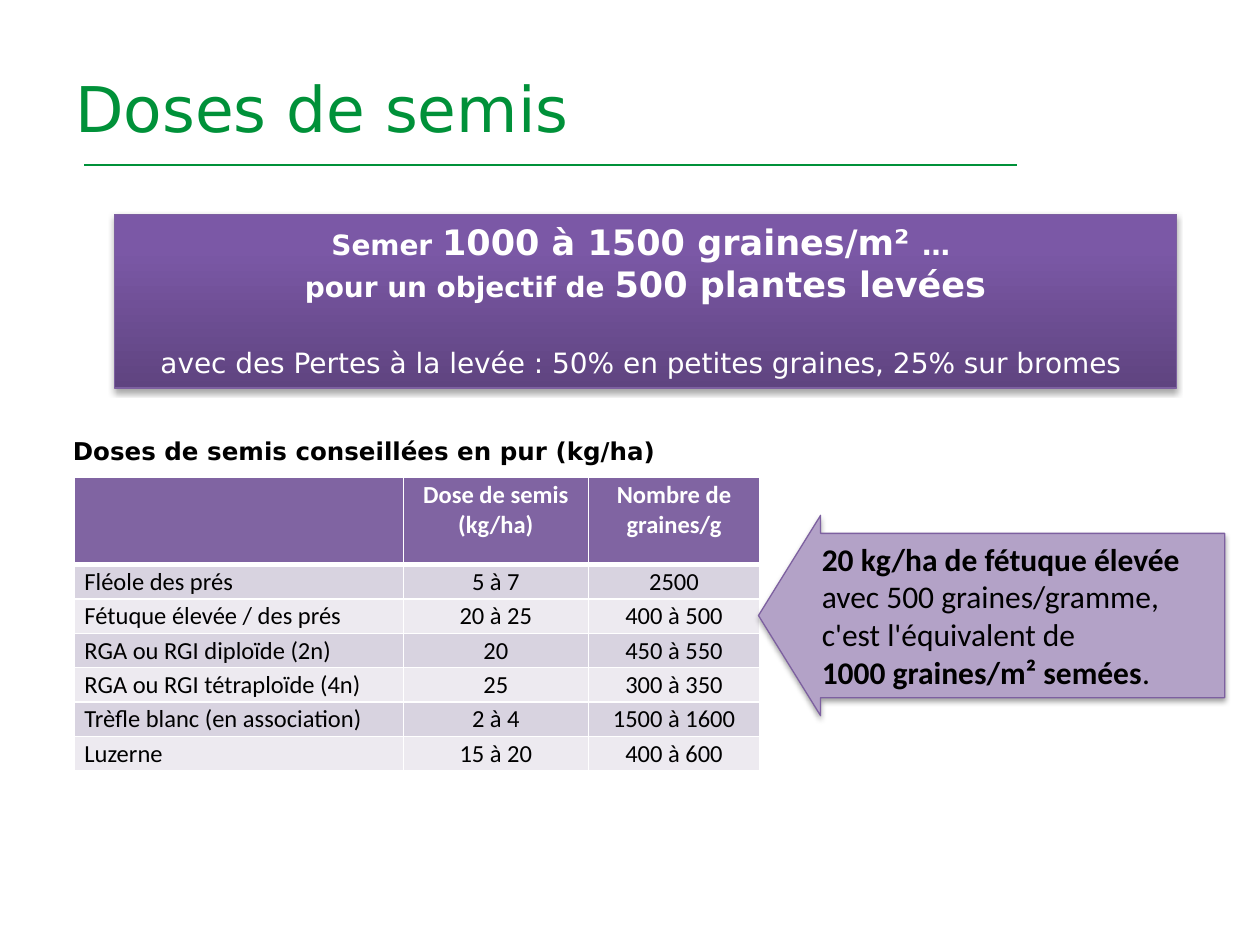
from dataclasses import dataclass

from lxml.etree import SubElement
from pptx import Presentation
from pptx.dml.color import RGBColor
from pptx.enum.shapes import MSO_CONNECTOR, MSO_SHAPE
from pptx.enum.text import MSO_ANCHOR, MSO_AUTO_SIZE, PP_ALIGN
from pptx.oxml import parse_xml
from pptx.oxml.ns import nsdecls, qn
from pptx.util import Emu, Inches, Pt

CELL = Inches(0.1)
GREEN, WHITE, BLACK = "009139", "FFFFFF", "000000"
HEADER, OUTLINE, LILAC = "8064A2", "7D60A0", "B3A2C7"
BANDS = ("D8D3E0", "EDEAF0")
GRADIENT = ((0, "5F4480"), (80, "7B58A6"), (100, "7C57A8"))
TITLE_FONT, BODY_FONT = "DejaVu Sans", "Calibri"
DOSES = (
    ("", "Dose de semis (kg/ha)", "Nombre de graines/g"),
    ("Fléole des prés", "5 à 7", "2500"),
    ("Fétuque élevée / des prés", "20 à 25", "400 à 500"),
    ("RGA ou RGI diploïde (2n)", "20", "450 à 550"),
    ("RGA ou RGI tétraploïde (4n)", "25", "300 à 350"),
    ("Trèfle blanc (en association)", "2 à 4", "1500 à 1600"),
    ("Luzerne", "15 à 20", "400 à 600"),
)


@dataclass
class Box:
    """Hold an area in columns and rows of a 100 by 75 slide grid."""
    left: float
    top: float
    width: float
    height: float

    def lengths(self):
        """Return left, top, width and height as slide lengths."""
        return [Emu(round(cells * CELL)) for cells in
                (self.left, self.top, self.width, self.height)]


def color(value):
    """Turn a hex string into a colour."""
    return RGBColor.from_string(value)


def write(paragraph, runs, font_name, font_color, alignment=PP_ALIGN.LEFT):
    """Fill a paragraph with runs of text, size and boldness."""
    paragraph.alignment = alignment
    for text, size, bold in runs:
        run = paragraph.add_run()
        run.text = text
        run.font.name = font_name
        run.font.size = Pt(size)
        run.font.bold = bold
        run.font.color.rgb = color(font_color)


def write_lines(text_frame, lines, *style):
    """Write one paragraph for each list of runs."""
    for index, runs in enumerate(lines):
        paragraph = text_frame.add_paragraph() if index else text_frame.paragraphs[0]
        write(paragraph, runs, *style)


def add_panel(slide, box, preset):
    """Add an outlined shape with a soft shadow below it."""
    shape = slide.shapes.add_shape(preset, *box.lengths())
    shape.line.color.rgb = color(OUTLINE)
    shape.line.width = Pt(0.75)
    shape.shadow.inherit = False
    effects = shape._element.spPr.find(qn("a:effectLst"))
    shadow = SubElement(effects, qn("a:outerShdw"), blurRad=str(Pt(3.1)),
                        dist=str(Pt(1.8)), dir="5400000", rotWithShape="0")
    tint = SubElement(shadow, qn("a:srgbClr"), val=BLACK)
    SubElement(tint, qn("a:alpha"), val="35000")
    shape.text_frame.word_wrap = True
    shape.text_frame.vertical_anchor = MSO_ANCHOR.TOP
    return shape


def add_title(slide, box):
    """Add the slide title and the rule below it."""
    text_frame = slide.shapes.add_textbox(*box.lengths()).text_frame
    text_frame.word_wrap = True
    text_frame.vertical_anchor = MSO_ANCHOR.MIDDLE
    write(text_frame.paragraphs[0], [("Doses de semis", 36, False)], TITLE_FONT, GREEN)
    left, top, width, height = Box(box.left + 1.7, box.top + 9.8, 74, 0).lengths()
    rule = slide.shapes.add_connector(MSO_CONNECTOR.STRAIGHT, left + width, top, left, top)
    rule.line.color.rgb = color(GREEN)
    rule.line.width = Pt(1.5)
    SubElement(rule._element.spPr, qn("a:effectLst"))


def add_banner(slide, box):
    """Add the gradient panel with the sowing target."""
    shape = add_panel(slide, box, MSO_SHAPE.RECTANGLE)
    stops = "".join(f'<a:gs pos="{share * 1000}"><a:srgbClr val="{value}"/></a:gs>'
                    for share, value in GRADIENT)
    gradient = parse_xml(f'<a:gradFill {nsdecls("a")} rotWithShape="1"><a:gsLst>{stops}'
                         '</a:gsLst><a:lin ang="16200000" scaled="0"/></a:gradFill>')
    shape._element.spPr.find(qn("a:prstGeom")).addnext(gradient)
    lines = (
        [("Semer ", 16, True), ("1000 à 1500 graines/m² ", 20, True), ("… ", 16, True)],
        [("pour un objectif de ", 16, True), ("500 plantes levées", 20, True)],
        [("avec des Pertes à la levée : 50% en petites graines, 25% sur bromes ", 16, False)],
    )
    write_lines(shape.text_frame, lines, TITLE_FONT, WHITE, PP_ALIGN.CENTER)
    shape.text_frame.paragraphs[-1].space_before = Pt(23.3)


def add_caption(slide, box):
    """Add the heading of the table."""
    text_frame = slide.shapes.add_textbox(*box.lengths()).text_frame
    text_frame.word_wrap = False
    text_frame.auto_size = MSO_AUTO_SIZE.SHAPE_TO_FIT_TEXT
    text_frame.vertical_anchor = MSO_ANCHOR.MIDDLE
    write(text_frame.paragraphs[0], [("Doses de semis conseillées en pur (kg/ha)", 14, True)],
          TITLE_FONT, BLACK, PP_ALIGN.JUSTIFY)


def add_borders(cell, row):
    """Draw white cell borders, thick between header and body."""
    widths = {"L": 1, "R": 1, "T": 3 if row == 1 else 1, "B": 3 if row == 0 else 1}
    for side, width in widths.items():
        line = SubElement(cell._tc.get_or_add_tcPr(), qn(f"a:ln{side}"), w=str(Pt(width)))
        fill = SubElement(line, qn("a:solidFill"))
        SubElement(fill, qn("a:srgbClr"), val=WHITE)


def add_dose_table(slide, box):
    """Add the table of advised sowing rates."""
    header_height = 6.9
    body_height = (box.height - header_height) / (len(DOSES) - 1)
    table = slide.shapes.add_table(len(DOSES), len(DOSES[0]), *box.lengths()).table
    for column, share in zip(table.columns, (0.48, 0.27, 0.25)):
        column.width = Emu(round(box.width * share * CELL))
    for row, values in enumerate(DOSES):
        table.rows[row].height = Emu(round((body_height if row else header_height) * CELL))
        for column, value in enumerate(values):
            cell = table.cell(row, column)
            add_borders(cell, row)
            cell.fill.solid()
            cell.fill.fore_color.rgb = color(BANDS[(row - 1) % 2] if row else HEADER)
            cell.margin_left = cell.margin_right = Inches(0.08)
            cell.margin_top = cell.margin_bottom = Inches(0.02)
            if value:
                write(cell.text_frame.paragraphs[0], [(value, 14, row == 0)], BODY_FONT,
                      BLACK if row else WHITE,
                      PP_ALIGN.CENTER if column else PP_ALIGN.LEFT)


def add_example_arrow(slide, box):
    """Add the arrow that explains one row of the table."""
    shape = add_panel(slide, box, MSO_SHAPE.LEFT_ARROW)
    shape.adjustments[0], shape.adjustments[1] = 0.82, 0.31
    shape.fill.solid()
    shape.fill.fore_color.rgb = color(LILAC)
    lines = (
        [("20 kg/ha de fétuque élevée ", 18, True),
         ("avec 500 graines/gramme, c'est l'équivalent de", 18, False)],
        [("1000 graines/m² semées", 18, True), (".", 18, False)],
    )
    write_lines(shape.text_frame, lines, BODY_FONT, BLACK)


def main():
    """Build and save the slide."""
    presentation = Presentation()
    presentation.slide_width, presentation.slide_height = 100 * CELL, 75 * CELL
    slide = presentation.slides.add_slide(presentation.slide_layouts[6])
    add_title(slide, Box(5, 3.3, 85, 10.5))
    add_banner(slide, Box(9.1, 17, 84.3, 13.8))
    add_dose_table(slide, Box(5.9, 37.9, 54.4, 23.2))
    add_example_arrow(slide, Box(60.2, 40.9, 37, 15.9))
    add_caption(slide, Box(4.8, 34.1, 49.1, 3.4))
    presentation.save("out.pptx")


if __name__ == "__main__":
    main()
